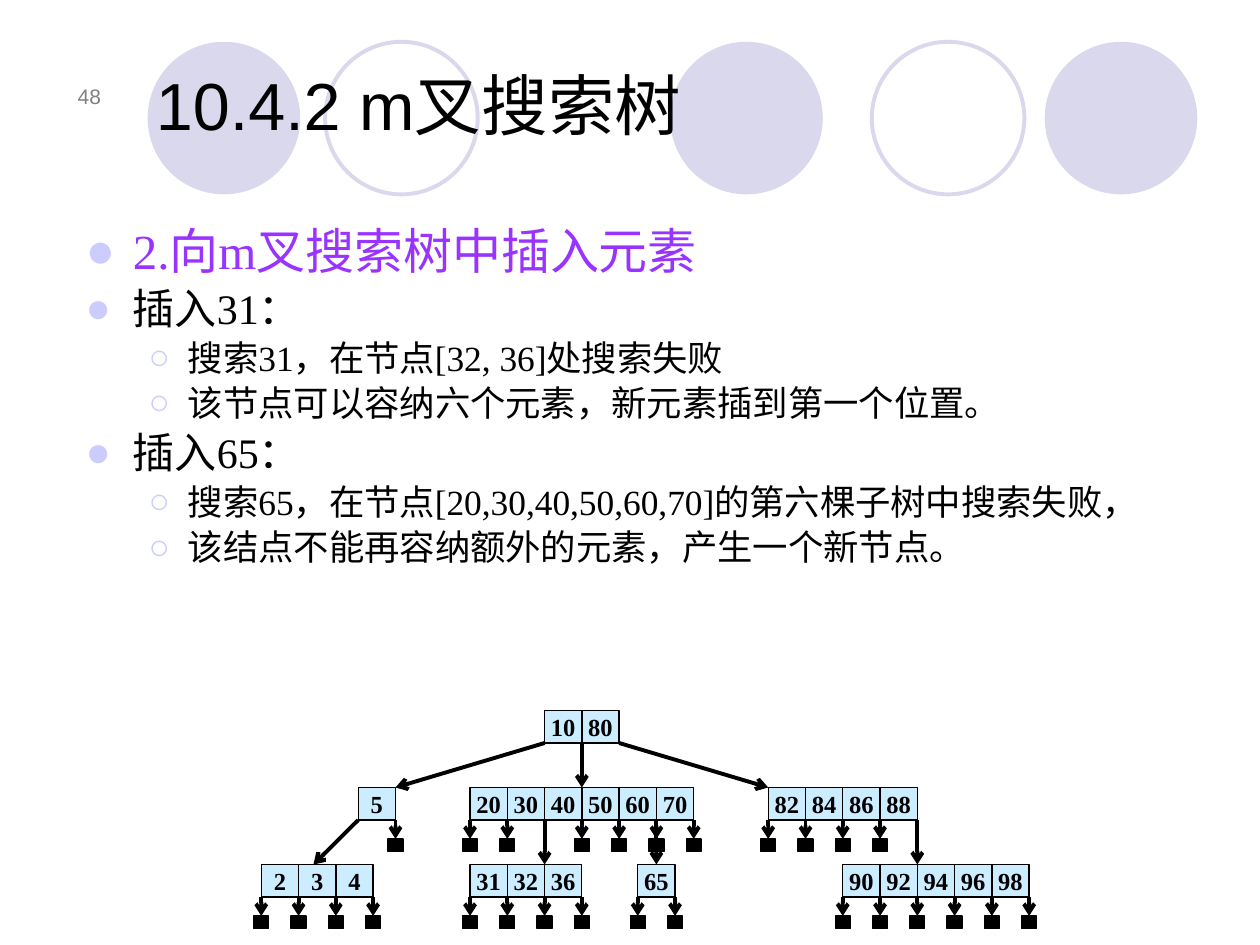
from lxml.etree import SubElement
from pptx import Presentation
from pptx.dml.color import RGBColor
from pptx.enum.shapes import MSO_CONNECTOR, MSO_SHAPE
from pptx.enum.text import MSO_ANCHOR, PP_ALIGN
from pptx.oxml.ns import qn
from pptx.util import Pt

COLORS = {
    "black": "000000", "gray": "808080", "purple": "9933FF",
    "circle": "D9D8EC", "bullet": "CCCCFF", "cell": "CCECFF",
}
SANS, SERIF = "Arial", "Times New Roman"

CIRCLE_SIZE, CIRCLE_TOP = 87.2, 23.9
CIRCLES = [(383, True), (597, True), (84.4, True), (498.2, False), (185.8, False)]

TITLE = "10.4.2 m叉搜索树"
PAGE_NUMBER = "48"

# (level, size, color, text)
BODY = [
    (0, 28, "purple", "2.向m叉搜索树中插入元素"),
    (0, 24, "black", "插入31："),
    (1, 20.2, "black", "搜索31，在节点[32, 36]处搜索失败"),
    (1, 20.2, "black", "该节点可以容纳六个元素，新元素插到第一个位置。"),
    (0, 24, "black", "插入65："),
    (1, 20.2, "black", "搜索65，在节点[20,30,40,50,60,70]的第六棵子树中搜索失败，"),
    (1, 20.2, "black", "该结点不能再容纳额外的元素，产生一个新节点。"),
]
# level: (bullet, left margin, hanging indent)
BULLETS = {0: ("●", 27, 27), 1: ("○", 58.5, 22.5)}

# name: (tree level, first column, keys, gaps that lead to an empty leaf)
NODES = {
    "root": (0, -1, [10, 80], []),
    "5": (1, -6, [5], [1]),
    "20": (1, -3, [20, 30, 40, 50, 60, 70], [0, 1, 3, 4, 5, 6]),
    "82": (1, 5, [82, 84, 86, 88], [0, 1, 2, 3]),
    "2": (2, -8.6, [2, 3, 4], [0, 1, 2, 3]),
    "31": (2, -3, [31, 32, 36], [0, 1, 2, 3]),
    "65": (2, 1.5, [65], [0, 1]),
    "90": (2, 7, [90, 92, 94, 96, 98], [0, 1, 2, 3, 4, 5]),
}
# (parent, gap in parent, child, place along the top of the child in cells)
EDGES = [
    ("root", 0, "5", 1), ("root", 1, "20", 3), ("root", 2, "82", 0),
    ("5", 0, "2", 1.4), ("20", 2, "31", 2), ("20", 5, "65", 0.5),
    ("82", 4, "90", 2),
]
CENTER, TREE_TOP, LEVEL_STEP = 332.5, 406, 44
CELL_WIDTH, CELL_HEIGHT = 21.3, 18.6
LEAF_WIDTH, LEAF_HEIGHT, LEAF_DROP = 8.6, 7.2, 29.4


def color(name):
    return RGBColor.from_string(COLORS[name])


def add_run(paragraph, text, font_name, size, color_name, bold=False):
    run = paragraph.add_run()
    run.text = text
    run.font.name, run.font.size, run.font.bold = font_name, Pt(size), bold
    run.font.color.rgb = color(color_name)


def add_text_box(slide, left, top, width, height, anchor):
    box = slide.shapes.add_textbox(Pt(left), Pt(top), Pt(width), Pt(height))
    box.text_frame.word_wrap = True
    box.text_frame.vertical_anchor = anchor
    return box.text_frame


def add_figure(slide, preset, left, top, width, height, fill, line, line_width=0.75):
    shape = slide.shapes.add_shape(preset, Pt(left), Pt(top), Pt(width), Pt(height))
    shape.shadow.inherit = False
    if fill:
        shape.fill.solid()
        shape.fill.fore_color.rgb = color(fill)
    else:
        shape.fill.background()
    if line:
        shape.line.color.rgb = color(line)
        shape.line.width = Pt(line_width)
    else:
        shape.line.fill.background()
    return shape


def add_arrow(slide, tip, origin):
    connector = slide.shapes.add_connector(
        MSO_CONNECTOR.STRAIGHT, *(Pt(value) for value in tip + origin))
    connector.line.color.rgb = color("black")
    connector.line.width = Pt(2.25)
    SubElement(connector.line._get_or_add_ln(), qn("a:headEnd"), type="arrow")
    SubElement(connector._element.spPr, qn("a:effectLst"))
    return connector


def set_bullet(paragraph, level):
    character, margin, hanging = BULLETS[level]
    paragraph.level = level
    properties = paragraph._p.get_or_add_pPr()
    properties.set("marL", str(Pt(margin)))
    properties.set("indent", str(-Pt(hanging)))
    bullet_color = SubElement(properties, qn("a:buClr"))
    SubElement(bullet_color, qn("a:srgbClr"), val=COLORS["bullet"])
    SubElement(properties, qn("a:buFont"), typeface=SANS)
    SubElement(properties, qn("a:buChar"), char=character)


def gap_x(name, gap):
    return CENTER + (NODES[name][1] + gap) * CELL_WIDTH


def node_top(name):
    return TREE_TOP + NODES[name][0] * LEVEL_STEP


def add_header(slide):
    for left, filled in CIRCLES:
        add_figure(slide, MSO_SHAPE.OVAL, left, CIRCLE_TOP, CIRCLE_SIZE, CIRCLE_SIZE,
                   "circle" if filled else None, None if filled else "circle", 2.25)
    number = add_text_box(slide, 25.2, 31.7, 39.6, 33.8, MSO_ANCHOR.BOTTOM).paragraphs[0]
    number.alignment = PP_ALIGN.RIGHT
    add_run(number, PAGE_NUMBER, SANS, 12, "gray")
    title = add_text_box(slide, 82, 20.2, 567.4, 65.5, MSO_ANCHOR.BOTTOM).paragraphs[0]
    add_run(title, TITLE, SANS, 38, "black")


def add_body(slide):
    frame = add_text_box(slide, 41.8, 126, 633.6, 324.7, MSO_ANCHOR.TOP)
    for index, (level, size, color_name, text) in enumerate(BODY):
        paragraph = frame.add_paragraph() if index else frame.paragraphs[0]
        set_bullet(paragraph, level)
        paragraph.line_spacing = 0.9
        paragraph.space_before = Pt(0.2 * size if index else 0)
        add_run(paragraph, text, SERIF, size, color_name)


def add_node(slide, name):
    """Draw the keys of one node and its empty leaves; return the key cells."""
    top, cells = node_top(name), []
    _, _, keys, leaf_gaps = NODES[name]
    for index, key in enumerate(keys):
        cell = add_figure(slide, MSO_SHAPE.RECTANGLE, gap_x(name, index), top,
                          CELL_WIDTH, CELL_HEIGHT, "cell", "black")
        cell.text_frame.word_wrap = False
        cell.text_frame.vertical_anchor = MSO_ANCHOR.MIDDLE
        paragraph = cell.text_frame.paragraphs[0]
        paragraph.alignment = PP_ALIGN.CENTER
        add_run(paragraph, str(key), SERIF, 14, "black", bold=True)
        cells.append(cell)
    for gap in leaf_gaps:
        x = gap_x(name, gap)
        leaf = add_figure(slide, MSO_SHAPE.RECTANGLE, x - LEAF_WIDTH / 2, top + LEAF_DROP,
                          LEAF_WIDTH, LEAF_HEIGHT, "black", "black")
        arrow = add_arrow(slide, (x, top + LEAF_DROP), (x, top + CELL_HEIGHT))
        arrow.begin_connect(leaf, 0)
    return cells


def add_tree(slide):
    cells = {name: add_node(slide, name) for name in NODES}
    for parent, gap, child, place in EDGES:
        arrow = add_arrow(slide, (gap_x(child, place), node_top(child)),
                          (gap_x(parent, gap), node_top(parent) + CELL_HEIGHT))
        if place % 1 == 0.5:
            arrow.begin_connect(cells[child][int(place)], 0)


def main():
    presentation = Presentation()
    presentation.slide_width, presentation.slide_height = Pt(720), Pt(540)
    slide = presentation.slides.add_slide(presentation.slide_layouts[6])
    add_header(slide)
    add_body(slide)
    add_tree(slide)
    presentation.save("out.pptx")


if __name__ == "__main__":
    main()
